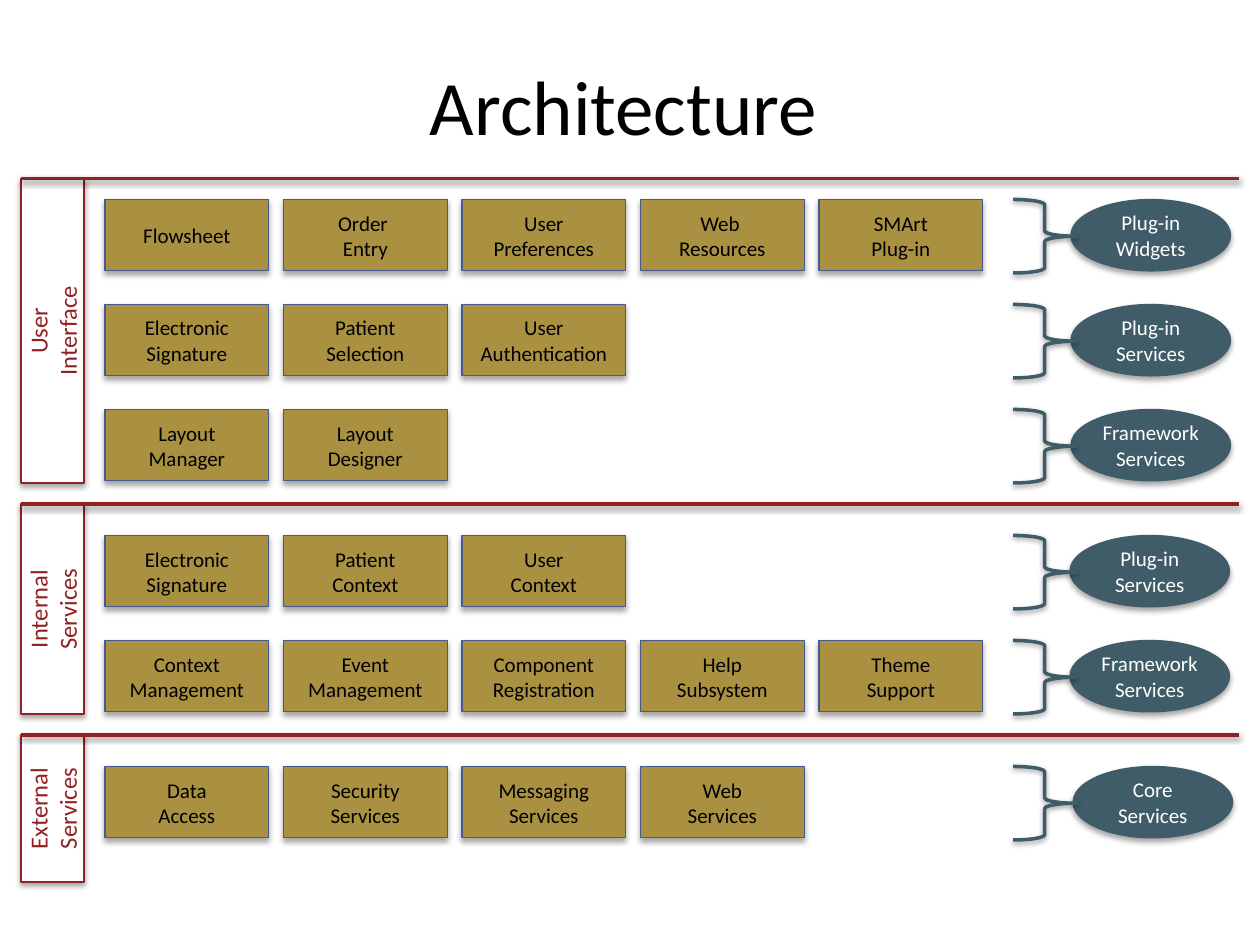
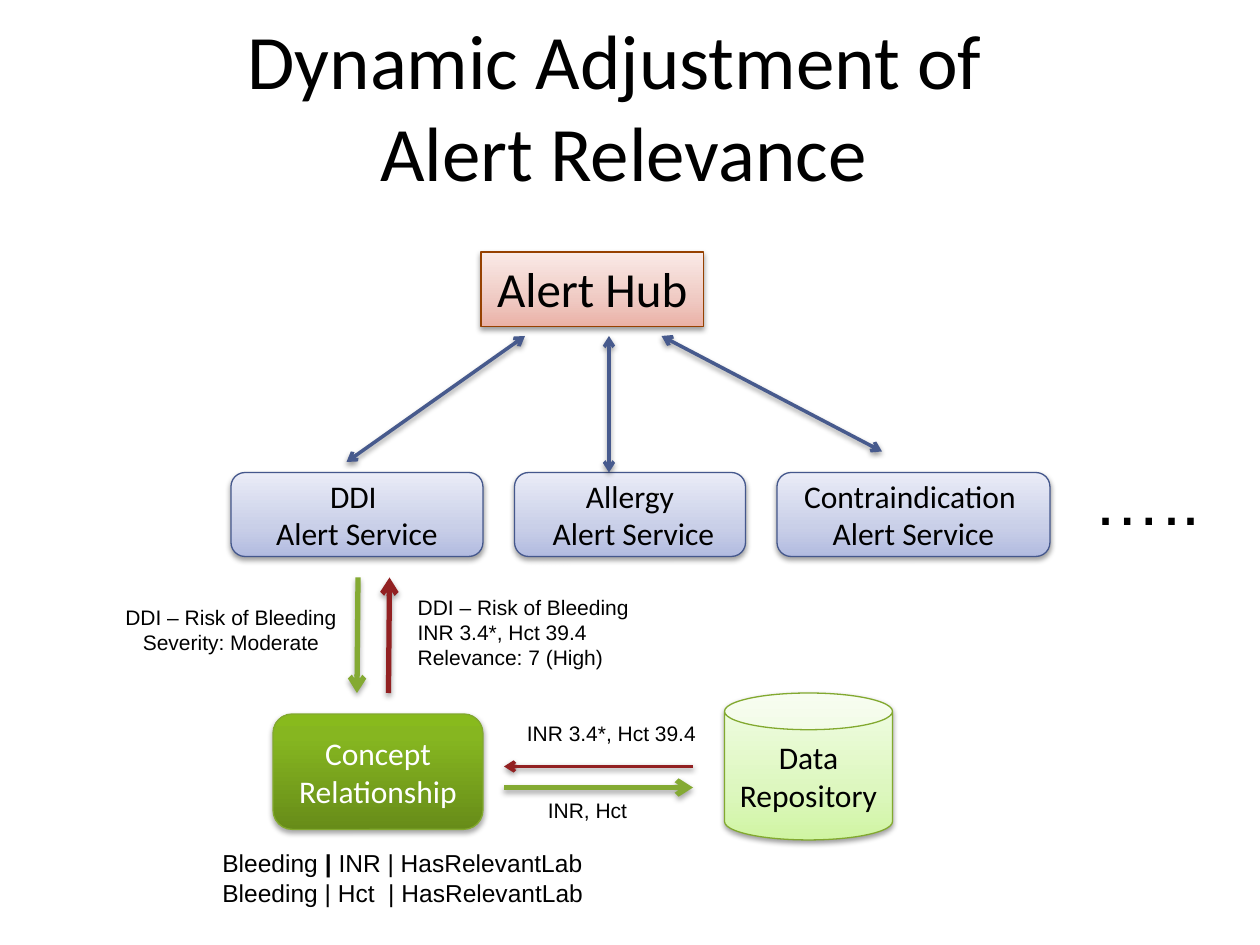
from dataclasses import dataclass

from lxml.etree import SubElement
from pptx import Presentation
from pptx.dml.color import RGBColor
from pptx.enum.shapes import MSO_CONNECTOR, MSO_SHAPE
from pptx.enum.text import MSO_ANCHOR, MSO_AUTO_SIZE, PP_ALIGN
from pptx.oxml.ns import qn
from pptx.util import Pt

PX = 914400 // 120
PAGE = (0, 0, 1200, 900)
TITLE_BOX = (54, 43, 1080, 113)


@dataclass(frozen=True)
class Theme:
    black: str = "000000"
    white: str = "FFFFFF"
    red: str = "922122"
    gold: str = "A99141"
    blue: str = "475A8D"
    slate: str = "405C69"
    green: str = "84AA33"
    green_edge: str = "82A92F"
    service_edge: str = "44578C"
    hub_edge: str = "964101"
    hub_fill: tuple = ((0, "EAB1A6"), (35, "EFC9C2"), (100, "FAEAE7"))
    service_fill: tuple = ((0, "B2BBE0"), (35, "C9CFE8"), (100, "EAECF7"))
    concept_fill: tuple = ((0, "678C19"), (80, "86B620"), (100, "88BA1D"))
    store_fill: tuple = ((0, "D0F5A3"), (35, "DDF7BF"), (100, "F2FDE6"))
    heading_font: str = "Calibri"
    note_font: str = "Arial"
    title: int = 44
    dots: int = 39
    hub: int = 28
    node: int = 18
    band: int = 14
    small: int = 12
    thin: float = 0.75
    medium: int = 2
    thick: int = 3


THEME = Theme()
# opacity in percent, distance in EMU
SOLID_SHADOW = (35, 23000)
SOFT_SHADOW = (38, 20000)


def emu(*lengths):
    return [length * PX for length in lengths]


def write_text(frame, lines, size, color=THEME.black, font=THEME.heading_font,
               align=PP_ALIGN.CENTER, anchor=MSO_ANCHOR.MIDDLE, wrap=True, grow=False, bold=()):
    """Fill a frame, one paragraph a line; a line may be a tuple of spans, and those in bold stand out."""
    frame.word_wrap = wrap
    frame.auto_size = MSO_AUTO_SIZE.SHAPE_TO_FIT_TEXT if grow else MSO_AUTO_SIZE.NONE
    frame.vertical_anchor = anchor
    for index, line in enumerate(lines):
        para = frame.add_paragraph() if index else frame.paragraphs[0]
        para.alignment = align
        if isinstance(line, str):
            para.text = line
        else:
            for piece in line:
                para.add_run().text = piece
        for span in para.runs:
            span.font.name = font
            span.font.size = Pt(size)
            span.font.color.rgb = RGBColor.from_string(color)
            if span.text in bold:
                span.font.bold = True


def cast_shadow(shape, shadow):
    opacity, distance = shadow
    effects = SubElement(shape._element.spPr, qn("a:effectLst"))
    outer = SubElement(effects, qn("a:outerShdw"), blurRad="40000", dist=str(distance),
                       dir="5400000", rotWithShape="0")
    color = SubElement(outer, qn("a:srgbClr"), val=THEME.black)
    SubElement(color, qn("a:alpha"), val=str(opacity * 1000))


def paint(shape, fill):
    """Fill with nothing, one colour, or gradient stops that run upwards."""
    if fill is None:
        shape.fill.background()
    elif isinstance(fill, str):
        shape.fill.solid()
        shape.fill.fore_color.rgb = RGBColor.from_string(fill)
    else:
        shape.fill.gradient()
        shape.fill.gradient_angle = 90
        stops = shape._element.spPr.find(qn("a:gradFill")).find(qn("a:gsLst"))
        for stop in list(stops):
            stops.remove(stop)
        for position, color in fill:
            stop = SubElement(stops, qn("a:gs"), pos=str(position * 1000))
            SubElement(stop, qn("a:srgbClr"), val=color)


def stroke(shape, color, width):
    shape.line.color.rgb = RGBColor.from_string(color)
    shape.line.width = Pt(width)


def add_block(page, kind, box, fill, edge, width=THEME.thin, shadow=SOLID_SHADOW):
    shape = page.shapes.add_shape(kind, *emu(*box))
    paint(shape, fill)
    stroke(shape, edge, width)
    cast_shadow(shape, shadow)
    return shape


def add_line(page, start, end, color, width=THEME.medium, head=False, tail=False):
    line = page.shapes.add_connector(MSO_CONNECTOR.STRAIGHT, *emu(*start, *end))
    stroke(line, color, width)
    outline = line._element.spPr.find(qn("a:ln"))
    for wanted, tag in ((head, "a:headEnd"), (tail, "a:tailEnd")):
        if wanted:
            SubElement(outline, qn(tag), type="arrow")
    cast_shadow(line, SOLID_SHADOW if width == THEME.thick else SOFT_SHADOW)


def add_note(page, box, lines, size=THEME.small, font=THEME.note_font, align=PP_ALIGN.LEFT, **style):
    note = page.shapes.add_textbox(*emu(*box))
    write_text(note.text_frame, lines, size, font=font, align=align,
               anchor=MSO_ANCHOR.TOP, grow=True, **style)


def add_titled_page(deck, title):
    page = deck.slides.add_slide(deck.slide_layouts[5])
    holder = page.shapes.title
    holder.left, holder.top, holder.width, holder.height = emu(*TITLE_BOX)
    write_text(holder.text_frame, [title], THEME.title)
    return page


# band: label, top, height, offset of first row, left of roles, rows of (role, components)
BANDS = (
    (("User", "Interface"), 170, 290, 20, 1000, (
        (("Plug-in", "Widgets"), (("Flowsheet",), ("Order ", "Entry"), ("User Preferences",),
                                  ("Web ", "Resources"), ("SMArt", "Plug-in"))),
        (("Plug-in", "Services"), (("Electronic", "Signature"), ("Patient", "Selection"),
                                   ("User", "Authentication"))),
        (("Framework", "Services"), (("Layout", "Manager"), ("Layout", "Designer"))),
    )),
    (("Internal", "Services"), 480, 200, 30, 999, (
        (("Plug-in", "Services"), (("Electronic", "Signature"), ("Patient", "Context"),
                                   ("User", "Context"))),
        (("Framework", "Services"), (("Context", "Management"), ("Event", "Management"),
                                     ("Component", "Registration"), ("Help", "Subsystem"),
                                     ("Theme", "Support"))),
    )),
    (("External", "Services"), 700, 140, 30, 1002, (
        (("Core", "Services"), (("Data", "Access"), ("Security", "Services"),
                                ("Messaging", "Services"), ("Web", "Services"))),
    )),
)


def add_component_row(page, left, top, role_left, role, components):
    for column, lines in enumerate(components):
        box = (left + 80 + column * 170, top, 156, 68)
        component = add_block(page, MSO_SHAPE.RECTANGLE, box, THEME.gold, THEME.blue)
        write_text(component.text_frame, lines, THEME.small)
    oval = add_block(page, MSO_SHAPE.OVAL, (left + role_left, top, 152, 68), THEME.slate, THEME.slate)
    write_text(oval.text_frame, role, THEME.small, THEME.white, wrap=False)
    add_block(page, MSO_SHAPE.RIGHT_BRACE, (left + 945, top, 60, 70), None, THEME.slate,
              THEME.medium, SOFT_SHADOW)


def add_band(page, box, label, first_row, role_left, rows):
    left, top, width, height = box
    tab = add_block(page, MSO_SHAPE.RECTANGLE, (left, top, 60, height), THEME.white, THEME.red)
    write_text(tab.text_frame, label, THEME.band, THEME.red)
    tab.text_frame._txBody.bodyPr.set("vert", "vert270")
    add_line(page, (left, top), (left + width, top), THEME.red)
    for index, (role, components) in enumerate(rows):
        add_component_row(page, left, top + first_row + index * 100, role_left, role, components)


def add_architecture(deck):
    page = add_titled_page(deck, "Architecture")
    for label, top, height, first_row, role_left, rows in BANDS:
        add_band(page, (20, top, 1160, height), label, first_row, role_left, rows)


def add_alert_services(page, box):
    """The hub, its services and the arrows between them."""
    left, top, _, _ = box
    hub = add_block(page, MSO_SHAPE.RECTANGLE, (left + 238, top, 212, 71), THEME.hub_fill,
                    THEME.hub_edge, shadow=SOFT_SHADOW)
    write_text(hub.text_frame, ["Alert Hub"], THEME.hub, anchor=MSO_ANCHOR.TOP, grow=True)

    service_left = left
    for width, lines in ((240, ("DDI ", "Alert Service")), (220, ("Allergy", " Alert Service")),
                         (260, ("Contraindication ", "Alert Service"))):
        service = add_block(page, MSO_SHAPE.ROUNDED_RECTANGLE, (service_left, top + 210, width, 80),
                            THEME.service_fill, THEME.service_edge, shadow=SOFT_SHADOW)
        write_text(service.text_frame, lines, THEME.node)
        service_left += width + 30
    add_note(page, (service_left, top + 190, 126, 91), ["….."], THEME.dots, wrap=False)

    for start, end, drop in ((280, 110, 200), (360, 360, 210), (410, 620, 190)):
        add_line(page, (left + start, top + 80), (left + end, top + drop), THEME.blue,
                 head=True, tail=True)


def add_relevance_lookup(page, box):
    """The concept relationship, the repository and the messages exchanged."""
    left, top, _, _ = box
    concept = add_block(page, MSO_SHAPE.ROUNDED_RECTANGLE, (left + 180, top + 130, 200, 110),
                        THEME.concept_fill, THEME.green_edge)
    write_text(concept.text_frame, ["Concept Relationship"], THEME.node, THEME.white)
    store = add_block(page, MSO_SHAPE.CAN, (left + 610, top + 110, 160, 140), THEME.store_fill,
                      THEME.green_edge, shadow=SOFT_SHADOW)
    write_text(store.text_frame, ("Data", "Repository"), THEME.node)

    for start, end, color, width in (
            ((261, 0), (260, 110), THEME.green, THEME.thick),
            ((290, 110), (291, 0), THEME.red, THEME.thick),
            ((400, 200), (580, 200), THEME.green, THEME.thick),
            ((580, 180), (400, 180), THEME.red, THEME.medium)):
        add_line(page, (left + start[0], top + start[1]), (left + end[0], top + end[1]),
                 color, width, tail=True)

    add_note(page, (left, top + 20, 280, 60), ("DDI – Risk of Bleeding", "Severity: Moderate"),
             align=PP_ALIGN.CENTER)
    add_note(page, (left + 306, top + 10, 280, 85),
             ("DDI – Risk of Bleeding", "INR 3.4*, Hct 39.4", "Relevance: 7 (High)"))
    add_note(page, (left + 410, top + 130, 187, 36), ["INR 3.4*, Hct 39.4"], wrap=False)
    add_note(page, (left + 430, top + 204, 101, 36), ["INR, Hct"], wrap=False)
    add_note(page, (left + 120, top + 252, 440, 97),
             (("Bleeding ", "| ", "INR | HasRelevantLab"), "Bleeding | Hct  | HasRelevantLab"),
             THEME.band, bold=("| ",))


def add_alert_relevance(deck):
    page = add_titled_page(deck, "Dynamic Adjustment of \nAlert Relevance")
    add_alert_services(page, (220, 240, 936, 290))
    add_relevance_lookup(page, (80, 550, 770, 349))


def main():
    deck = Presentation()
    deck.slide_width, deck.slide_height = emu(*PAGE[2:])
    add_architecture(deck)
    add_alert_relevance(deck)
    deck.save("out.pptx")


if __name__ == "__main__":
    main()
